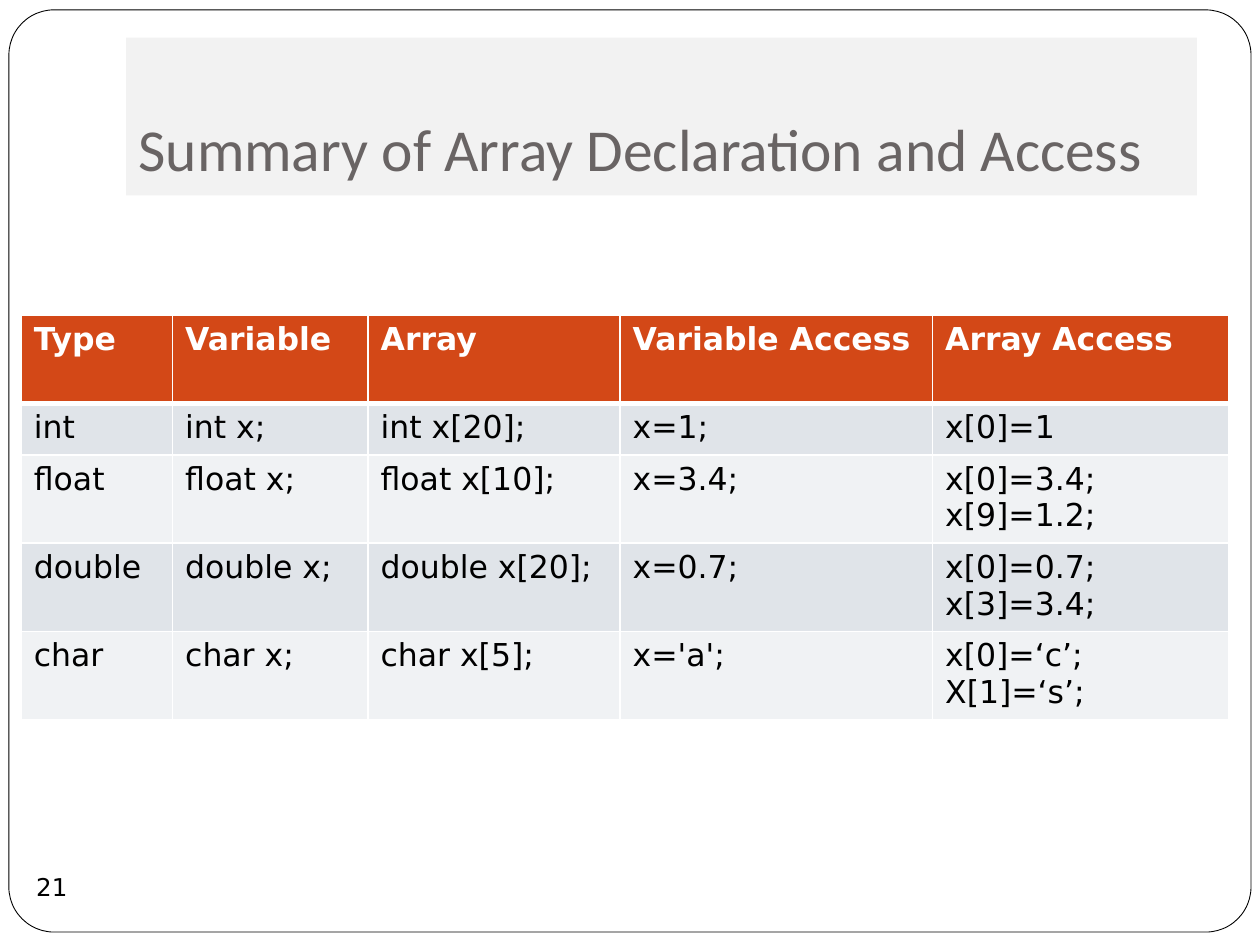
from lxml.etree import SubElement
from pptx import Presentation
from pptx.dml.color import RGBColor
from pptx.enum.shapes import MSO_SHAPE as Shape
from pptx.enum.text import MSO_ANCHOR as Anchor, MSO_AUTO_SIZE as Fit, PP_ALIGN as Align
from pptx.oxml.ns import qn
from pptx.util import Cm, Pt

SANS = "DejaVu Sans"
WHITE, BLACK = "FFFFFF", "000000"
HEAD, BANDS = "D34817", ("E0E4E9", "F0F2F4")
COLS = (3.05, 3.94, 5.08, 6.3, 5.97)
ROWS = (1.78, 1.04, 1.78, 1.78, 1.78)
CELLS = (
    ("Type", "Variable", "Array", "Variable Access", "Array Access"),
    ("int", "int x;", "int x[20];", "x=1;", "x[0]=1"),
    ("float", "float x;", "float x[10];", "x=3.4;", "x[0]=3.4;\nx[9]=1.2;"),
    ("double", "double x;", "double x[20];", "x=0.7;", "x[0]=0.7;\nx[3]=3.4;"),
    ("char", "char x;", "char x[5];", "x='a';", "x[0]=‘c’;\nX[1]=‘s’;"),
)


def paint(fill, color):
    fill.solid()
    fill.fore_color.rgb = RGBColor.from_string(color)


def write(para, text, size, color, face=SANS, bold=False):
    run = para.add_run()
    run.text = text
    font = run.font
    font.name, font.size, font.bold = face, Pt(size), bold
    font.color.rgb = RGBColor.from_string(color)


def place(shape, box):
    shape.left, shape.top, shape.width, shape.height = map(Cm, box)


def add_frame(slide, box):
    """Add the rounded page border behind the title."""
    frame = slide.shapes.add_shape(Shape.ROUNDED_RECTANGLE, *map(Cm, box))
    frame.adjustments[0] = 0.049
    frame.shadow.inherit = False
    paint(frame.fill, WHITE)
    paint(frame.line.fill, BLACK)
    frame.line.width = Pt(0.5)
    slide.shapes.title.element.addprevious(frame.element)


def set_title(slide, box, text):
    title = slide.shapes.title
    place(title, box)
    paint(title.fill, "F2F2F2")
    body = title.text_frame
    body.auto_size = Fit.NONE
    body.word_wrap = True
    body.vertical_anchor = Anchor.BOTTOM
    body.margin_bottom = Cm(0.25)
    para = body.paragraphs[0]
    para.alignment = Align.LEFT
    write(para, text, 34, "696464", "Calibri")


def add_number(slide, box, text):
    badge = slide.shapes.add_shape(Shape.OVAL, *map(Cm, box))
    badge.shadow.inherit = False
    badge.fill.background()
    badge.line.fill.background()
    body = badge.text_frame
    body.word_wrap = False
    body.vertical_anchor = Anchor.MIDDLE
    body.margin_left = body.margin_right = body.margin_top = body.margin_bottom = 0
    para = body.paragraphs[0]
    para.alignment = Align.CENTER
    write(para, text, 14, BLACK)


def add_edges(cell, **widths):
    """Draw white cell borders; must run before the cell is filled."""
    props = cell._tc.get_or_add_tcPr()
    for side, width in widths.items():
        line = SubElement(props, qn(f"a:ln{side}"), w=str(Pt(width)))
        fill = SubElement(line, qn("a:solidFill"))
        SubElement(fill, qn("a:srgbClr"), val=WHITE)


def add_grid(slide, left, top):
    box = map(Cm, (left, top, sum(COLS), sum(ROWS)))
    table = slide.shapes.add_table(len(ROWS), len(COLS), *box).table
    for col, width in zip(table.columns, COLS):
        col.width = Cm(width)
    for r, (row, height) in enumerate(zip(table.rows, ROWS)):
        row.height = Cm(height)
        head = r == 0
        for cell, text in zip(row.cells, CELLS[r]):
            add_edges(cell, L=1, R=1, T=3 if r == 1 else 1, B=3 if head else 1)
            paint(cell.fill, HEAD if head else BANDS[(r - 1) % 2])
            body = cell.text_frame
            for i, line in enumerate(text.split("\n")):
                para = body.add_paragraph() if i else body.paragraphs[0]
                write(para, line, 18, WHITE if head else BLACK, bold=head)


def main():
    deck = Presentation()
    deck.slide_width, deck.slide_height = Cm(25.4), Cm(19.05)
    slide = deck.slides.add_slide(deck.slide_layouts.get_by_name("Title Only"))
    add_frame(slide, (0.18, 0.2, 25.04, 18.59))
    set_title(slide, (2.54, 0.76, 21.59, 3.18), "Summary of Array Declaration and Access")
    add_number(slide, (0.41, 17.25, 1.27, 1.27), "21")
    add_grid(slide, 0.43, 6.35)
    deck.save("out.pptx")


if __name__ == "__main__":
    main()
